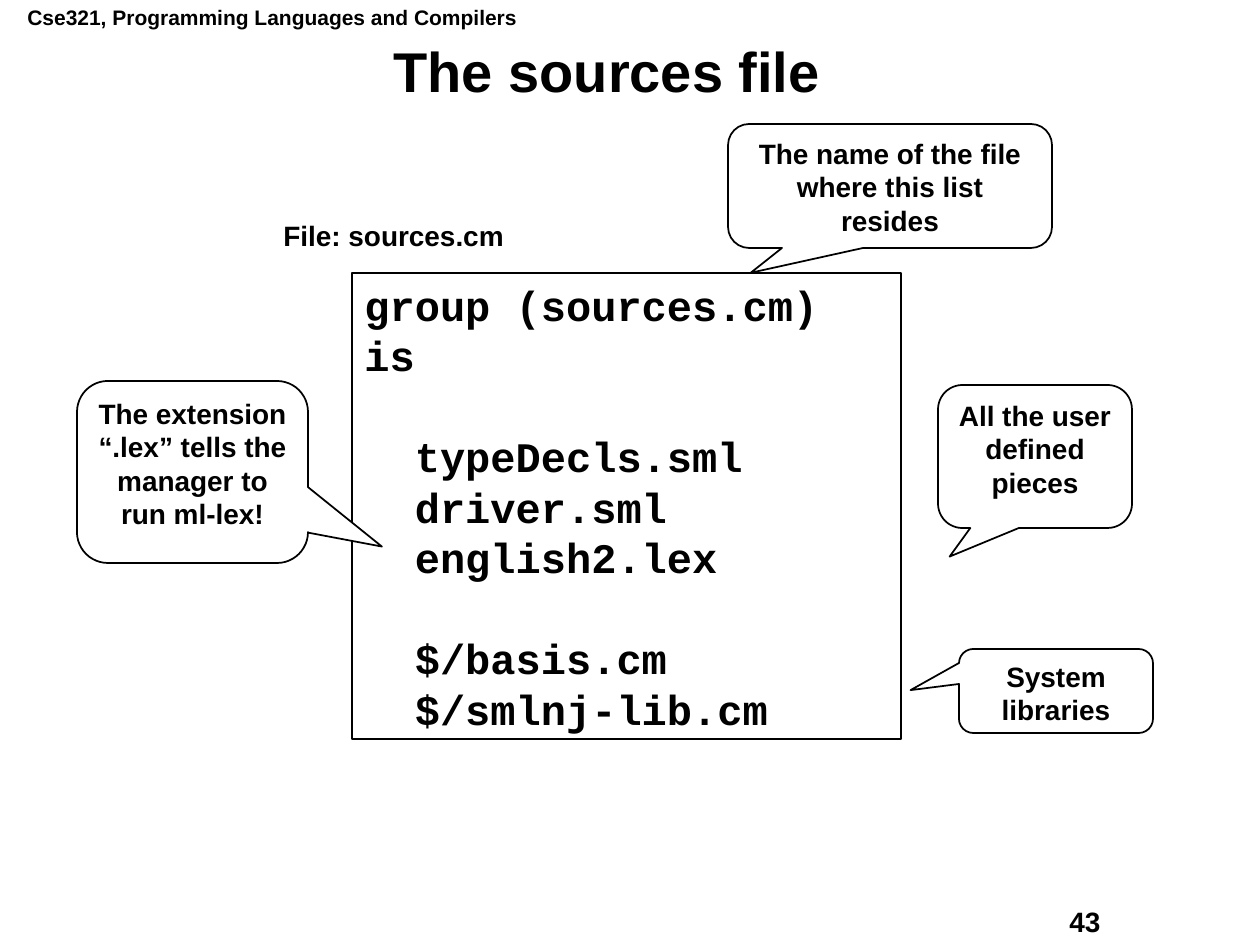
from pptx import Presentation
from pptx.dml.color import RGBColor
from pptx.enum.shapes import MSO_SHAPE
from pptx.enum.text import MSO_ANCHOR, PP_ALIGN
from pptx.util import Pt

PX = 914400 / 126
BLACK = RGBColor(0x00, 0x00, 0x00)
WHITE = RGBColor(0xFF, 0xFF, 0xFF)


def box(*lengths):
    return [round(n * PX) for n in lengths]


def add_run(p, text, size, font="Arial"):
    r = p.add_run()
    r.text = text
    r.font.name = font
    r.font.size = Pt(size)
    r.font.bold = True
    r.font.color.rgb = BLACK


prs = Presentation()
prs.slide_width, prs.slide_height = box(1260, 945)
s = prs.slides.add_slide(prs.slide_layouts[5])

title = s.shapes.title
title.left, title.top, title.width, title.height = box(39, 39, 1136, 71)
title.text_frame.vertical_anchor = MSO_ANCHOR.MIDDLE
p = title.text_frame.paragraphs[0]
p.alignment = PP_ALIGN.CENTER
p.line_spacing = 0.9
add_run(p, "The sources file", 32)

labels = [
    ("Cse321, Programming Languages and Compilers", 12, (15, -2, 515, 38)),
    ("43", 16, (1057, 898, 160, 45)),
    ("File: sources.cm", 16, (271, 212, 348, 47)),
]
for text, size, place in labels:
    tf = s.shapes.add_textbox(*box(*place)).text_frame
    tf.word_wrap = True
    add_run(tf.paragraphs[0], text, size)

code_box = s.shapes.add_shape(MSO_SHAPE.RECTANGLE, *box(352, 273, 549, 466))
code_box.shadow.inherit = False
code_box.fill.background()
code_box.line.color.rgb = BLACK
code_box.line.width = Pt(1)
tf = code_box.text_frame
tf.word_wrap = True
tf.vertical_anchor = MSO_ANCHOR.TOP
code_groups = [
    ["group (sources.cm)", "is"],
    ["  typeDecls.sml", "  driver.sml", "  english2.lex"],
    ["  $/basis.cm", "  $/smlnj-lib.cm"],
]
p = tf.paragraphs[0]
for g, lines in enumerate(code_groups):
    for i, line in enumerate(lines):
        if g or i:
            p = tf.add_paragraph()
        p.alignment = PP_ALIGN.LEFT
        if g and i == 0:
            p.space_before = Pt(29)
        add_run(p, line, 24, "Courier New")

callouts = [
    ("The name of the file where this list resides", (728, 124, 324, 124), (-0.43, 0.7)),
    ("All the user defined pieces", (938, 385, 194, 143), (-0.44, 0.7)),
    ("System libraries", (959, 649, 194, 84), (-0.75, -0.01)),
    ("The extension “.lex” tells the manager to run ml-lex!", (77, 381, 231, 182), (0.82, 0.41)),
]
for text, place, tip in callouts:
    sp = s.shapes.add_shape(MSO_SHAPE.ROUNDED_RECTANGULAR_CALLOUT, *box(*place))
    sp.adjustments[0], sp.adjustments[1] = tip
    sp.adjustments[2] = 0.17
    sp.shadow.inherit = False
    sp.fill.solid()
    sp.fill.fore_color.rgb = WHITE
    sp.line.color.rgb = BLACK
    sp.line.width = Pt(1)
    tf = sp.text_frame
    tf.word_wrap = True
    tf.vertical_anchor = MSO_ANCHOR.TOP
    p = tf.paragraphs[0]
    p.alignment = PP_ALIGN.CENTER
    add_run(p, text, 16)

prs.save("out.pptx")
